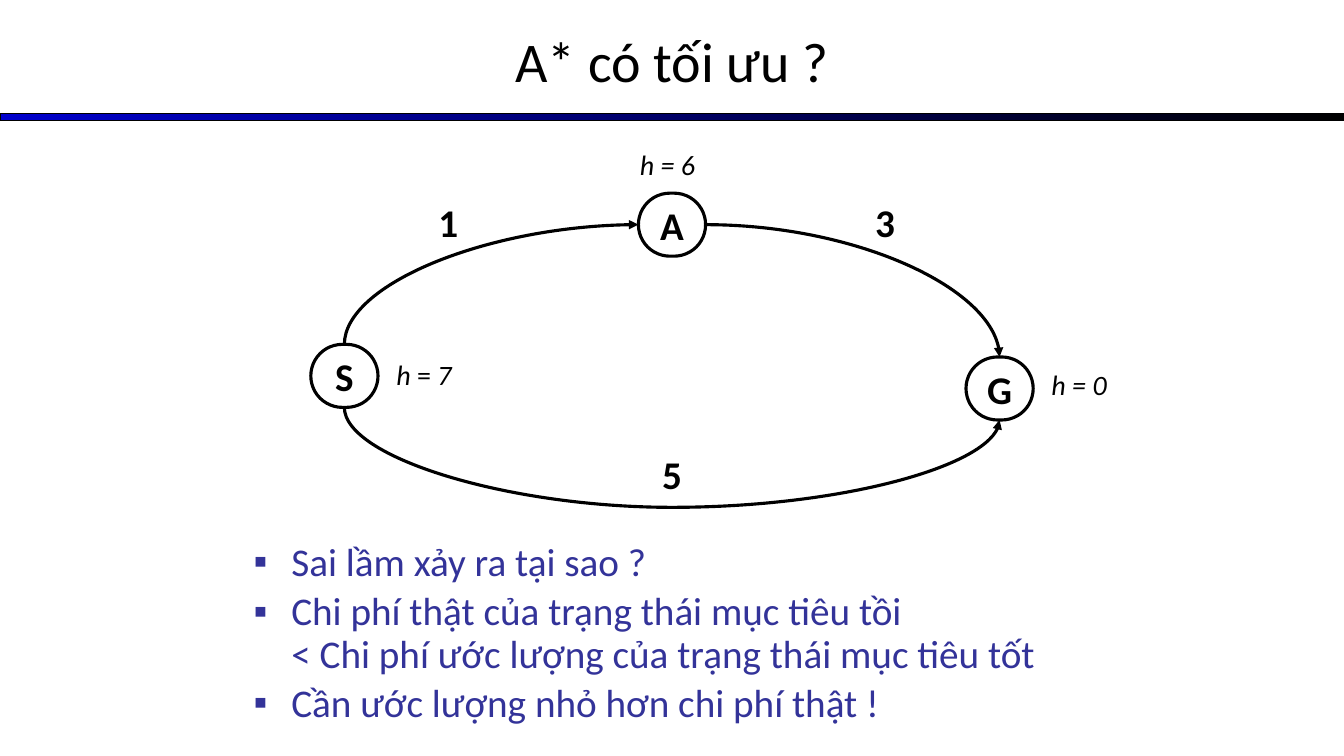
from lxml import etree
from pptx import Presentation
from pptx.dml.color import RGBColor
from pptx.enum.shapes import MSO_CONNECTOR as Connector, MSO_SHAPE as Preset
from pptx.enum.text import MSO_ANCHOR as Anchor, MSO_AUTO_SIZE as AutoSize, PP_ALIGN as Align
from pptx.oxml.ns import qn
from pptx.util import Pt

BLACK, BLUE, INDIGO = "000000", "0000CC", "333399"
SLIDE_WIDTH, SLIDE_HEIGHT = 960, 540
NODE_WIDTH, NODE_HEIGHT = 48, 45
TOP, LEFT, BOTTOM, RIGHT = 0, 1, 2, 3

TITLE = "A* có tối ưu ?"
BULLETS = [
    "Sai lầm xảy ra tại sao ?",
    "Chi phí thật của trạng thái mục tiêu tồi\v< Chi phí ước lượng của trạng thái mục tiêu tốt",
    "Cần ước lượng nhỏ hơn chi phí thật !",
]
NODES = {"A": (456, 138), "G": (690, 255), "S": (222, 246)}
COST = {"size": Pt(28), "bold": True}
HEURISTIC = {"size": Pt(20), "italic": True}
LABELS = [
    (["1"], (306, 138, 36, 41), COST, Align.LEFT),
    (["3"], (618, 138, 36, 41), COST, Align.LEFT),
    (["5"], (0, 318, SLIDE_WIDTH, 41), COST, Align.CENTER),
    (["h = 6"], (450, 102, 72, 32), HEURISTIC, Align.LEFT),
    (["h = 0"], (744, 259, 72, 32), HEURISTIC, Align.LEFT),
    (["h", " = ", "7"], (276, 252, 60, 32), HEURISTIC, Align.LEFT),
]
EDGES = [
    ("S", BOTTOM, "G", BOTTOM, "curvedConnector3", 270, (1, 0), 792300),
    ("S", TOP, "A", LEFT, "curvedConnector2", 90, (1, 1), None),
    ("A", RIGHT, "G", TOP, "curvedConnector2", 0, (0, 0), None),
]


def color(value):
    return RGBColor.from_string(value)


def style_font(font, formats, value=BLACK):
    for name, setting in {"name": "Calibri", **formats}.items():
        setattr(font, name, setting)
    font.color.rgb = color(value)


def style_line(line, width):
    line.color.rgb = color(BLACK)
    line.width = Pt(width)


def add_text_box(slide, box, formats):
    frame = slide.shapes.add_textbox(*map(Pt, box)).text_frame
    for name, setting in {"word_wrap": True, **formats}.items():
        setattr(frame, name, setting)
    return frame


def add_shape(slide, preset, box, line_width):
    shape = slide.shapes.add_shape(preset, *map(Pt, box))
    shape.shadow.inherit = False
    style_line(shape.line, line_width)
    return shape


def add_header(slide):
    bar = add_shape(slide, Preset.RECTANGLE, (0, 81, SLIDE_WIDTH, 5.25), 0.75)
    bar.fill.gradient()
    bar.fill.gradient_angle = 0
    for stop, value in zip(bar.fill.gradient_stops, (BLUE, BLACK)):
        stop.color.rgb = color(value)
    frame = add_text_box(slide, (0, -2, SLIDE_WIDTH, 90), {"vertical_anchor": Anchor.MIDDLE})
    paragraph = frame.paragraphs[0]
    paragraph.text = TITLE
    paragraph.alignment = Align.CENTER
    style_font(paragraph.runs[0].font, {"size": Pt(40)})


def add_bullets(slide):
    frame = add_text_box(slide, (174, 384, 754, 74), {})
    for index, text in enumerate(BULLETS):
        paragraph = frame.paragraphs[0] if index == 0 else frame.add_paragraph()
        paragraph.text = text
        paragraph.line_spacing = 0.9
        paragraph.space_before = Pt(5 if index else 0)
        properties = paragraph._p.get_or_add_pPr()
        properties.set("marL", str(Pt(27)))
        properties.set("indent", str(-Pt(27)))
        bullet_color = etree.SubElement(properties, qn("a:buClr"))
        etree.SubElement(bullet_color, qn("a:srgbClr"), val=INDIGO)
        etree.SubElement(properties, qn("a:buFont"), typeface="Arial")
        etree.SubElement(properties, qn("a:buChar"), char="▪")
        style_font(paragraph.font, {"size": Pt(28)}, INDIGO)
        for run in paragraph.runs:
            style_font(run.font, {"size": Pt(28)}, INDIGO)


def add_node(slide, name, position):
    node = add_shape(slide, Preset.ROUNDED_RECTANGLE, (*position, NODE_WIDTH, NODE_HEIGHT), 2.25)
    node.adjustments[0] = 0.5
    node.fill.background()
    frame = node.text_frame
    frame.word_wrap = False
    frame.vertical_anchor = Anchor.MIDDLE
    paragraph = frame.paragraphs[0]
    paragraph.text = name
    paragraph.alignment = Align.CENTER
    style_font(paragraph.runs[0].font, COST)
    return node


def add_label(slide, parts, box, formats, alignment):
    frame = add_text_box(slide, box, {"auto_size": AutoSize.SHAPE_TO_FIT_TEXT})
    paragraph = frame.paragraphs[0]
    paragraph.alignment = alignment
    for part in parts:
        run = paragraph.add_run()
        run.text = part
        style_font(run.font, formats)
        if part == " = ":
            run.font.italic = False


def side_point(name, side):
    left, top = NODES[name]
    across, down = {TOP: (0.5, 0), LEFT: (0, 0.5), BOTTOM: (0.5, 1), RIGHT: (1, 0.5)}[side]
    return left + across * NODE_WIDTH, top + down * NODE_HEIGHT


def add_edge(slide, nodes, start, start_side, end, end_side, preset, rotation, flips, bend):
    begin_x, begin_y = side_point(start, start_side)
    end_x, end_y = side_point(end, end_side)
    edge = slide.shapes.add_connector(Connector.CURVE, *map(Pt, (begin_x, begin_y, end_x, end_y)))
    edge.begin_connect(nodes[start], start_side)
    edge.end_connect(nodes[end], end_side)

    width, height = abs(end_x - begin_x), abs(end_y - begin_y)
    if rotation in (90, 270):
        width, height = height, width
    box = {
        "left": (begin_x + end_x - width) / 2,
        "top": (begin_y + end_y - height) / 2,
        "width": width,
        "height": height,
    }
    for name, value in box.items():
        setattr(edge, name, Pt(value))
    properties = edge._element.spPr
    transform = properties.find(qn("a:xfrm"))
    transform.set("rot", str(rotation * 60000))
    for name, value in zip(("flipH", "flipV"), flips):
        transform.set(name, str(value))
    geometry = properties.find(qn("a:prstGeom"))
    geometry.set("prst", preset)
    if bend:
        guides = geometry.find(qn("a:avLst"))
        etree.SubElement(guides, qn("a:gd"), name="adj1", fmla=f"val {bend}")

    style_line(edge.line, 2.25)
    etree.SubElement(properties.find(qn("a:ln")), qn("a:tailEnd"), type="triangle")
    etree.SubElement(properties, qn("a:effectLst"))


def main():
    presentation = Presentation()
    presentation.slide_width = Pt(SLIDE_WIDTH)
    presentation.slide_height = Pt(SLIDE_HEIGHT)
    slide = presentation.slides.add_slide(presentation.slide_layouts[6])
    add_header(slide)
    add_bullets(slide)
    nodes = {name: add_node(slide, name, position) for name, position in NODES.items()}
    for label in LABELS:
        add_label(slide, *label)
    for edge in EDGES:
        add_edge(slide, nodes, *edge)
    presentation.save("out.pptx")


if __name__ == "__main__":
    main()
